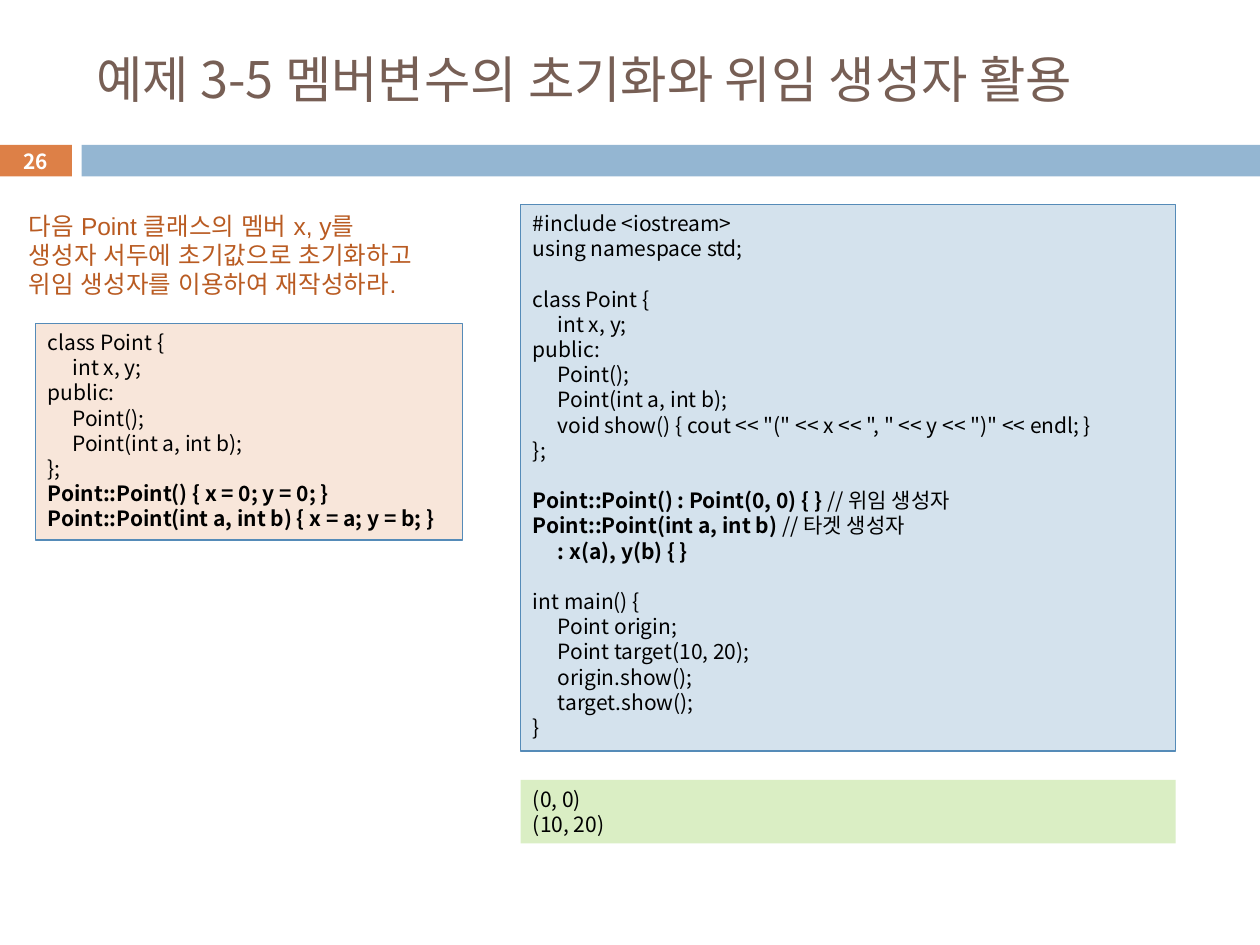
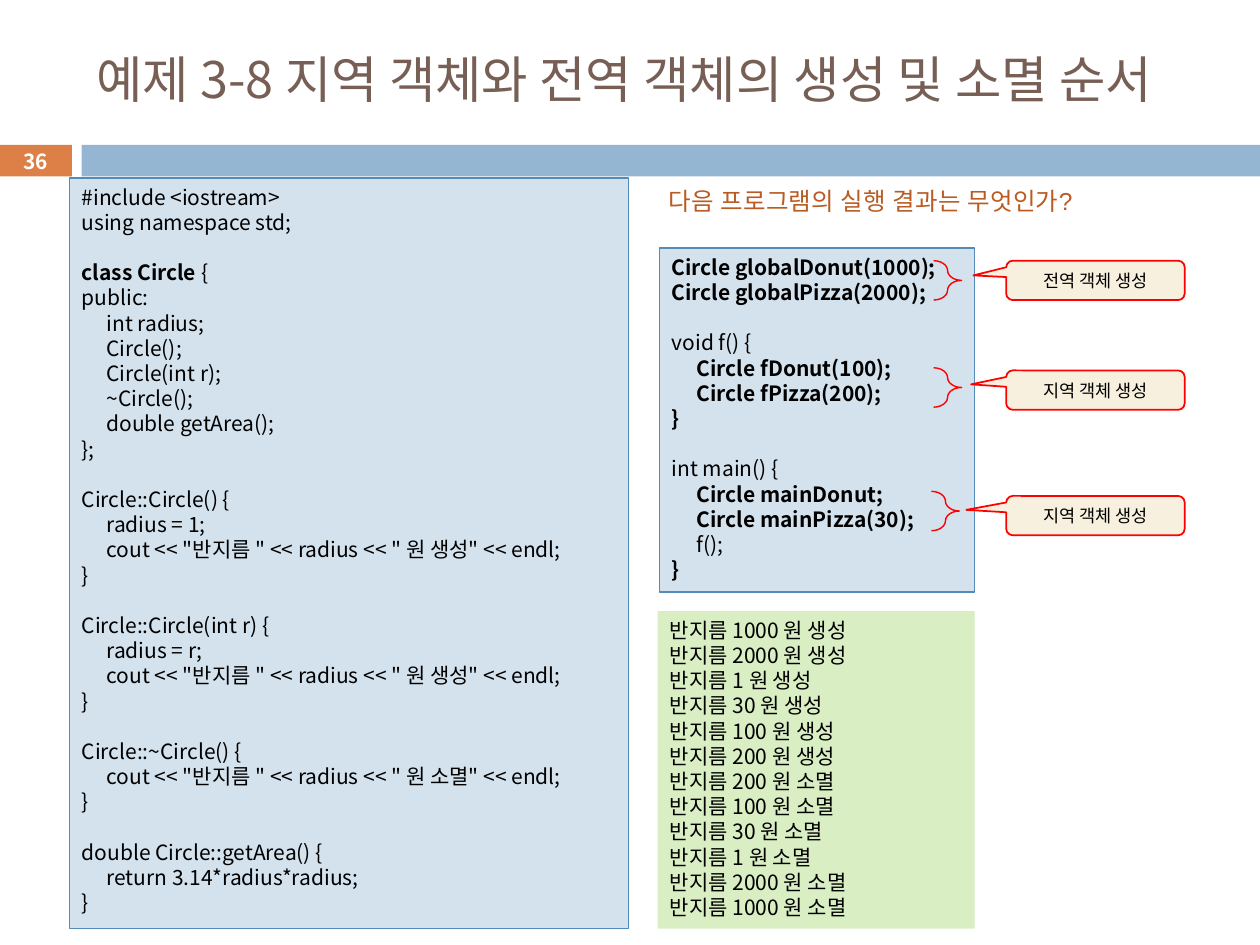
import pptx
import pptx.util
import pptx.dml.color
import pptx.enum.shapes
import pptx.enum.text
import pptx.oxml.ns
import lxml.etree

Pt = pptx.util.Pt
RGBColor = pptx.dml.color.RGBColor
SHAPE = pptx.enum.shapes.MSO_SHAPE
ALIGN = pptx.enum.text.PP_ALIGN
ANCHOR = pptx.enum.text.MSO_ANCHOR
qn = pptx.oxml.ns.qn

BLACK = RGBColor(0x00, 0x00, 0x00)
WHITE = RGBColor(0xFF, 0xFF, 0xFF)
BROWN = RGBColor(0x77, 0x5F, 0x55)
ORANGE = RGBColor(0xDD, 0x80, 0x47)
RUST = RGBColor(0xB9, 0x5B, 0x22)
BLUE = RGBColor(0x94, 0xB6, 0xD2)
EDGE = RGBColor(0x55, 0x8B, 0xB8)
PEACH = RGBColor(0xF8, 0xE6, 0xDA)
SKY = RGBColor(0xD4, 0xE2, 0xED)
GREEN = RGBColor(0xDA, 0xEE, 0xC4)
CREAM = RGBColor(0xF7, 0xF0, 0xDE)
RED = RGBColor(0xFF, 0x00, 0x00)

SANS = "Noto Sans CJK KR"
CODE_SIZE = 12
BLANK_LINE = 14.4
TAB = 14.2

POINT_TASK = """class Point {
    int x, y;
public:
    Point();
    Point(int a, int b);
};
**Point::Point() { x = 0; y = 0; }
**Point::Point(int a, int b) { x = a; y = b; }"""

POINT_CODE = """#include <iostream>
using namespace std;

class Point {
    int x, y;
public:
    Point();
    Point(int a, int b);
    void show() { cout << "(" << x << ", " << y << ")" << endl; }
};

**Point::Point() : Point(0, 0) { } **// 위임 생성자
**Point::Point(int a, int b) **// 타겟 생성자
**    : x(a), y(b) { }

int main() {
    Point origin;
    Point target(10, 20);
    origin.show();
    target.show();
}"""

POINT_OUT = """(0, 0)
(10, 20)"""

CIRCLE_CODE = """#include <iostream>
using namespace std;

**class Circle **{
public:
    int radius;
    Circle();
    Circle(int r);
    ~Circle();
    double getArea();
};

Circle::Circle() {
    radius = 1;
    cout << "반지름 " << radius << " 원 생성" << endl;
}

Circle::Circle(int r) {
    radius = r;
    cout << "반지름 " << radius << " 원 생성" << endl;
}

Circle::~Circle() {
    cout << "반지름 " << radius << " 원 소멸" << endl;
}

double Circle::getArea() {
    return 3.14*radius*radius;
}"""

CIRCLE_MAIN = """**Circle globalDonut(1000);
**Circle globalPizza(2000);

void f() {
**    Circle fDonut(100);
**    Circle fPizza(200);
**}

int main() {
**    Circle mainDonut;
**    Circle mainPizza(30);
    f();
**}"""

MADE = [1000, 2000, 1, 30, 100, 200]
CIRCLE_OUT = "\n".join(
    [f"반지름 {r} 원 생성" for r in MADE]
    + [f"반지름 {r} 원 소멸" for r in (200, 100, 30, 1, 2000, 1000)])


def style(para, size, color, face=SANS, bold=None):
    for run in para.runs:
        run.font.size = Pt(size)
        run.font.color.rgb = color
        run.font.name = face
        if bold is not None:
            run.font.bold = bold
        east = lxml.etree.SubElement(run.font._element, qn("a:ea"))
        east.set("typeface", face)


def add_shape(slide, kind, box, fill=None, line=None, width=0.75):
    shape = slide.shapes.add_shape(kind, *map(Pt, box))
    shape.shadow.inherit = False
    if fill is None:
        shape.fill.background()
    else:
        shape.fill.solid()
        shape.fill.fore_color.rgb = fill
    if line is None:
        shape.line.fill.background()
    else:
        shape.line.color.rgb = line
        shape.line.width = Pt(width)
    return shape


def label(shape, text, size, color, bold=False):
    """Put one centred line in a shape."""
    frame = shape.text_frame
    frame.margin_top = frame.margin_bottom = 0
    frame.vertical_anchor = ANCHOR.MIDDLE
    frame.text = text
    frame.paragraphs[0].alignment = ALIGN.CENTER
    style(frame.paragraphs[0], size, color, bold=bold)


def prose(slide, box, text, size, color, face=SANS, anchor=ANCHOR.TOP):
    frame = slide.shapes.add_textbox(*map(Pt, box)).text_frame
    frame.word_wrap = True
    frame.vertical_anchor = anchor
    frame.text = text
    for para in frame.paragraphs:
        style(para, size, color, face)


def code(slide, box, text, fill, line=None):
    """Draw a listing; ** switches bold on and off within a line."""
    frame = add_shape(slide, SHAPE.RECTANGLE, box, fill, line).text_frame
    frame.word_wrap = True
    frame.vertical_anchor = ANCHOR.TOP
    para, gap = frame.paragraphs[0], 0
    for count, row in enumerate(text.split("\n")):
        if not row:
            gap = BLANK_LINE
            continue
        if count:
            para = frame.add_paragraph()
        para.alignment = ALIGN.LEFT
        para.space_before = Pt(gap)
        gap = 0
        stops = lxml.etree.SubElement(
            para._p.get_or_add_pPr(), qn("a:tabLst"))
        lxml.etree.SubElement(
            stops, qn("a:tab"), pos=str(int(Pt(TAB))), algn="l")
        for part, piece in enumerate(row.replace("    ", "\t").split("**")):
            if piece:
                run = para.add_run()
                run.text = piece
                run.font.bold = part % 2 == 1
        style(para, CODE_SIZE, BLACK)


def mark(slide, box, drop, tip, text):
    """Brace at the left of the box, callout at its right, drop lower."""
    left, top, width, high = box
    brace = add_shape(slide, SHAPE.RIGHT_BRACE, (left, top, 16, high),
                      line=RED, width=0.79)
    brace.adjustments[0] = 0.44
    brace.adjustments[1] = 0.5
    wide = 102
    note = add_shape(slide, SHAPE.ROUNDED_RECTANGULAR_CALLOUT,
                     (left + width - wide, top + drop, wide, high),
                     CREAM, RED, 1)
    for spot, value in enumerate((*tip, 0.167)):
        note.adjustments[spot] = value
    label(note, text, 10, BLACK)


def base(deck, title, number):
    """Add a slide with the title, number tag and band."""
    slide = deck.slides.add_slide(deck.slide_layouts[6])
    tag = add_shape(slide, SHAPE.RECTANGLE, (-0.7, 82.8, 41.8, 18), ORANGE)
    add_shape(slide, SHAPE.RECTANGLE, (46.6, 82.8, 673.4, 18), BLUE)
    label(tag, str(number), 11.9, WHITE, True)
    prose(slide, (48, 18, 642, 53.5), title, 28.8, BROWN,
          anchor=ANCHOR.MIDDLE)
    return slide


def point(deck):
    slide = base(deck, "예제 3-5 멤버변수의 초기화와 위임 생성자 활용", 26)
    code(slide, (20.2, 184.8, 244.3, 123.8), POINT_TASK, PEACH, EDGE)
    code(slide, (297.5, 116.8, 374.4, 312.5), POINT_CODE, SKY, EDGE)
    prose(slide, (9.4, 116.8, 255, 58.2),
          "다음 Point 클래스의 멤버 x, y를\n"
          "생성자 서두에 초기값으로 초기화하고\n"
          "위임 생성자를 이용하여 재작성하라.", 14, RUST, "Arial")
    code(slide, (297.5, 445.7, 374.4, 36.2), POINT_OUT, GREEN)


def circle(deck):
    slide = base(deck, "예제 3-8 지역 객체와 전역 객체의 생성 및 소멸 순서", 36)
    code(slide, (39.6, 101.7, 319.6, 429), CIRCLE_CODE, SKY, EDGE)
    code(slide, (376.8, 141.8, 180, 196.5), CIRCLE_MAIN, SKY, EDGE)
    code(slide, (375.8, 349.2, 181.2, 181.5), CIRCLE_OUT, GREEN)
    marks = [
        (533.5, 149, 0, (-0.684, -0.125), "전역 객체 생성"),
        (533.5, 210.2, 1.5, (-0.697, -0.146), "지역 객체 생성"),
        (532.3, 280.8, 2.6, (-0.724, -0.146), "지역 객체 생성"),
    ]
    for left, top, drop, tip, text in marks:
        mark(slide, (left, top, 677 - left, 22.5), drop, tip, text)
    prose(slide, (375, 103, 313, 24.2),
          "다음 프로그램의 실행 결과는 무엇인가?", 14, RUST, "Arial")


def main():
    deck = pptx.Presentation()
    deck.slide_width = Pt(720)
    deck.slide_height = Pt(540)
    point(deck)
    circle(deck)
    deck.save("out.pptx")


if __name__ == "__main__":
    main()
